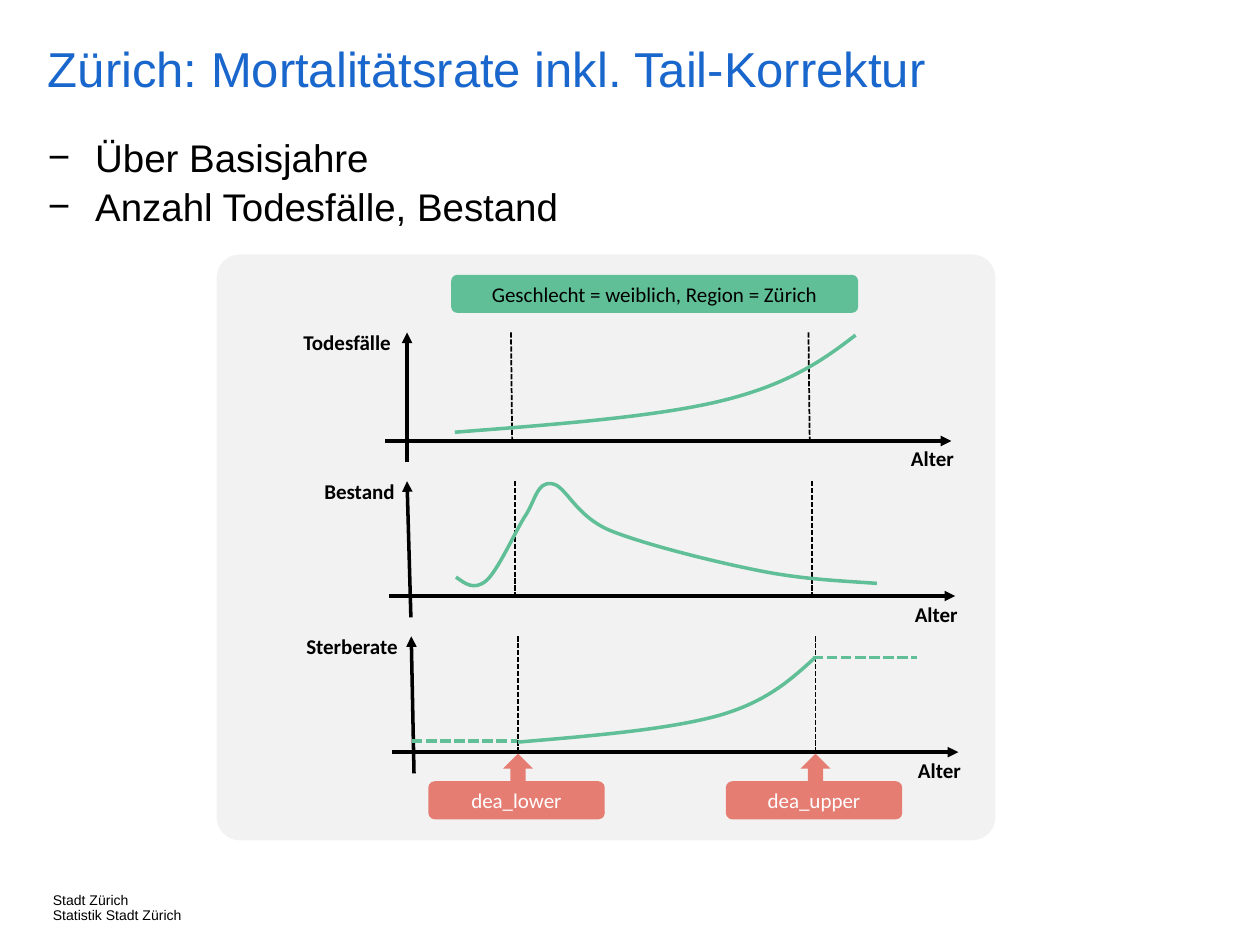
from lxml import etree
from pptx import Presentation
from pptx.dml.color import RGBColor
from pptx.enum import dml, shapes, text
from pptx.oxml.ns import qn
from pptx.util import Pt

COLORS = {"black": "000000", "white": "FFFFFF", "title": "1966CC", "panel": "F2F2F2",
          "green": "60BF97", "red": "E67D73"}
TITLE = "Zürich: Mortalitätsrate inkl. Tail-Korrektur"
POINTS = ["Über Basisjahre", "Anzahl Todesfälle, Bestand"]
SENDER = ["Stadt Zürich", "Statistik Stadt Zürich"]
FILTER = "Geschlecht = weiblich, Region = Zürich"
AGE = "Alter"
LIMITS = [("dea_lower", 296), ("dea_upper", 466)]
DIAGRAMS = [
    {"name": "Todesfälle", "shift": 0, "top": 190, "axis": 252, "lean": 0, "tilt": 0.7,
     "curve": [(488.9, 191.5), (470.2, 205.9), (450.7, 219.6), (412.6, 229),
               (374.4, 238.3), (316.8, 242.6), (259.9, 247)], "tails": []},
    {"name": "Bestand", "shift": 2.2, "top": 275, "axis": 340.6, "lean": 2.2, "tilt": 0,
     "curve": [(260.6, 329.8), (265.7, 333.4), (270.7, 337.7), (277.9, 331.9),
               (284.4, 326.2), (293.8, 305.3), (299.5, 295.9), (306, 286.6),
               (306.7, 275), (315.4, 276.5), (323.3, 277.2), (328.3, 294.5),
               (348.5, 303.1), (367.9, 311), (408.2, 321.1), (434.2, 326.2),
               (459.4, 331.2), (480.2, 331.9), (501.1, 333.4)], "tails": []},
    {"name": "Sterberate", "shift": 4, "top": 363.6, "axis": 429.8, "lean": 1.6, "tilt": 0,
     "curve": [(465.8, 375.8), (452.2, 388.1), (438.5, 401), (410.4, 409),
               (381.6, 416.9), (339.1, 420.5), (295.9, 424.1)],
     "tails": [(235.4, 295.2, 423.4), (464.4, 524.2, 375.8)]},
]


def rgb(color):
    return RGBColor.from_string(COLORS[color])


def write(frame, lines, size, font, color="black", bold=False, align=None, spacing=None):
    frame.text = "\n".join(lines)
    for paragraph in frame.paragraphs:
        paragraph.alignment = align
        paragraph.line_spacing = spacing
        paragraph.font.size = Pt(size)
        paragraph.font.name = font
        paragraph.font.bold = bold
        paragraph.font.color.rgb = rgb(color)


def place(holder, left, top, width, height):
    holder.left, holder.top = Pt(left), Pt(top)
    holder.width, holder.height = Pt(width), Pt(height)


def set_margins(frame, horizontal, vertical):
    frame.margin_left = frame.margin_right = Pt(horizontal)
    frame.margin_top = frame.margin_bottom = Pt(vertical)


def add_block(parent, preset, left, top, width, height, color):
    block = parent.add_shape(preset, Pt(left), Pt(top), Pt(width), Pt(height))
    block.shadow.inherit = False
    block.fill.solid()
    block.fill.fore_color.rgb = rgb(color)
    block.line.fill.background()
    return block


def add_tag(parent, label, left, top, width, fill, color):
    tag = add_block(parent, shapes.MSO_SHAPE.ROUNDED_RECTANGLE, left, top, width, 21.8, fill)
    write(tag.text_frame, [label], 12, "Calibri", color, align=text.PP_ALIGN.CENTER)
    set_margins(tag.text_frame, 7.2, 3.6)
    tag.text_frame.vertical_anchor = text.MSO_ANCHOR.MIDDLE


def add_label(parent, label, left, top, width, align):
    box = parent.add_textbox(Pt(left), Pt(top), Pt(width), Pt(21.8))
    box.text_frame.word_wrap = True
    write(box.text_frame, [label], 12, "Calibri", bold=True, align=align)


def add_line(parent, x1, y1, x2, y2, color="black", width=2, dashed=False, arrow=False):
    line = parent.add_connector(shapes.MSO_CONNECTOR.STRAIGHT, Pt(x1), Pt(y1), Pt(x2), Pt(y2))
    line.line.color.rgb = rgb(color)
    line.line.width = Pt(width)
    if dashed:
        line.line.dash_style = dml.MSO_LINE.SQUARE_DOT
        line.line._ln.find(qn("a:prstDash")).set("val", "sysDash")
    if arrow:
        etree.SubElement(line.line._ln, qn("a:tailEnd"), type="triangle")
    etree.SubElement(line._element.spPr, qn("a:effectLst"))


def add_curve(parent, points):
    start, *rest = [(Pt(x), Pt(y)) for x, y in points]
    builder = parent.build_freeform(*start)
    builder.add_line_segments(rest, close=False)
    curve = builder.convert_to_shape()
    outline = curve._element.spPr.find(".//" + qn("a:path"))
    steps = outline.findall(qn("a:lnTo"))
    for first in range(0, len(steps), 3):
        bezier = etree.SubElement(outline, qn("a:cubicBezTo"))
        for step in steps[first:first + 3]:
            bezier.append(step[0])
            outline.remove(step)
    curve.shadow.inherit = False
    curve.fill.background()
    curve.line.color.rgb = rgb("green")
    curve.line.width = Pt(2)


def add_diagram(parent, diagram):
    shift, top, axis = diagram["shift"], diagram["top"], diagram["axis"]
    origin = 232.6 + shift
    add_line(parent, 220.3 + shift, axis, 543.6 + shift, axis, arrow=True)
    add_line(parent, origin, axis + 12.2, origin - diagram["lean"], top, arrow=True)
    add_label(parent, AGE, 488.2 + shift, axis - 0.7, 89.3, text.PP_ALIGN.CENTER)
    add_label(parent, diagram["name"], 123.8 + shift, top - 5, 106.6, text.PP_ALIGN.RIGHT)
    for _, limit in LIMITS:
        guide = limit - 4 + shift
        add_line(parent, guide, top, guide + diagram["tilt"], axis + 1.2, width=1, dashed=True)
    add_curve(parent, diagram["curve"])
    for left, right, height in diagram["tails"]:
        add_line(parent, left, height, right, height, "green", dashed=True)


def main():
    deck = Presentation()
    deck.slide_width, deck.slide_height = Pt(720), Pt(540)
    slide = deck.slides.add_slide(deck.slide_layouts[1])
    canvas = slide.shapes

    title, points = canvas.title, slide.placeholders[1]
    place(title, 27.4, 25.9, 692.6, 46)
    write(title.text_frame, [TITLE], 28, "Arial", "title", align=text.PP_ALIGN.LEFT, spacing=0.9)
    set_margins(title.text_frame, 0, 0)
    title.text_frame.vertical_anchor = text.MSO_ANCHOR.TOP

    place(points, 20.2, 71.3, 595.4, 60.5)
    points.text_frame.text = "\n".join(POINTS)
    for paragraph in points.text_frame.paragraphs:
        properties = paragraph._p.get_or_add_pPr()
        properties.set("marL", str(Pt(27)))
        properties.set("indent", str(-Pt(27)))
        etree.SubElement(properties, qn("a:buFont"), typeface="Arial")
        etree.SubElement(properties, qn("a:buChar"), char="−")
        paragraph.space_before = Pt(0)
        paragraph.line_spacing = 1.06
        paragraph.font.size = Pt(22)
        paragraph.font.name = "Arial"
        paragraph.font.color.rgb = rgb("black")

    sender = canvas.add_textbox(Pt(30.2), Pt(510.5), Pt(94.3), Pt(14.4))
    write(sender.text_frame, SENDER, 8, "Arial", spacing=0.9)
    set_margins(sender.text_frame, 0, 0)
    sender.text_frame.word_wrap = False

    panel = add_block(canvas, shapes.MSO_SHAPE.ROUNDED_RECTANGLE, 123.8, 145.4, 445, 334.8, "panel")
    panel.adjustments[0] = 0.04
    add_tag(canvas, FILTER, 257.8, 157, 232.6, "green", "black")
    for label, center in LIMITS:
        marker = canvas.add_group_shape().shapes
        add_block(marker, shapes.MSO_SHAPE.UP_ARROW, center - 8.6, 430.6, 17.2, 20.2, "red")
        add_tag(marker, label, center - 51.2, 446.4, 100.8, "red", "white")
    for diagram in DIAGRAMS:
        add_diagram(canvas, diagram)
    deck.save("out.pptx")


if __name__ == "__main__":
    main()
